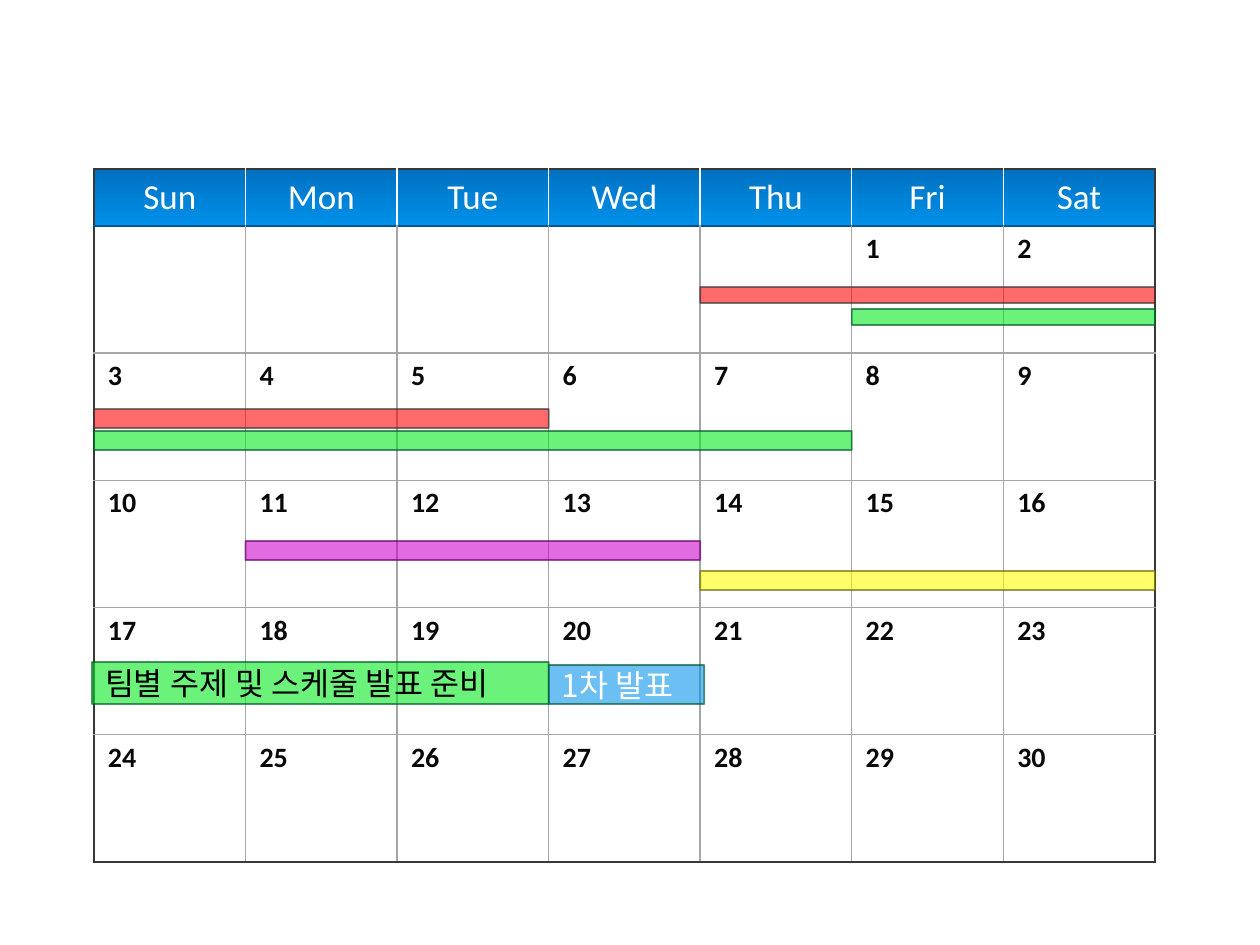
from lxml import etree
from pptx import Presentation
from pptx.dml.color import RGBColor
from pptx.enum.shapes import MSO_SHAPE
from pptx.enum.text import MSO_ANCHOR, PP_ALIGN
from pptx.oxml.ns import qn
from pptx.util import Emu, Pt

PX_PER_INCH = 126
BAR_SHAPE = MSO_SHAPE.PENTAGON
MIDDLE, TOP = MSO_ANCHOR.MIDDLE, MSO_ANCHOR.TOP
LEFT, CENTER = PP_ALIGN.LEFT, PP_ALIGN.CENTER

LATIN_FONT, KOREAN_FONT = "Calibri", "Noto Sans CJK JP"
WHITE, BLACK, INK = "FFFFFF", "000000", "080808"
FRAME, GRID, HEADER_EDGE = "383838", "A6A6A6", "005490"
HEADER_TOP, HEADER_BOTTOM = "0070C0", "0091EA"
RED, GREEN, YELLOW, PURPLE, BLUE = "FF0000", "00EA1C", "FFFF00", "CC00CC", "0091EA"
GREEN_EDGE, YELLOW_EDGE, PURPLE_EDGE = "005828", "666600", "660066"

WEEKDAYS = ["Sun", "Mon", "Tue", "Wed", "Thu", "Fri", "Sat"]
COLUMNS, WEEKS = len(WEEKDAYS), 5
FIRST_WEEKDAY, LAST_DATE = 5, 30
BLANK_HEIGHT, HEADER_HEIGHT = 106, 57
CALENDAR_BOX = (94, 63, 1061, 799)

# first column, end column, top, height, fill, edge
PLAIN_BARS = [
    (4, 7, 508, 19, YELLOW, YELLOW_EDGE),
    (5, 7, 246, 16, GREEN, GREEN_EDGE),
    (4, 7, 224, 16, RED, FRAME),
    (0, 5, 368, 19, GREEN, GREEN_EDGE),
    (0, 3, 346, 19, RED, FRAME),
    (1, 4, 478, 19, PURPLE, PURPLE_EDGE),
]


def px(length):
    return Emu(round(length * 914400 / PX_PER_INCH))


def color(hex_string):
    return RGBColor.from_string(hex_string)


def add_run(paragraph, text, size, hex_string, font, bold=False):
    run = paragraph.add_run()
    run.text = text
    run.font.size = Pt(size)
    run.font.bold = bold
    run.font.name = font
    run.font.color.rgb = color(hex_string)
    etree.SubElement(run._r.get_or_add_rPr(), qn("a:ea"), typeface=font)


def set_alpha(fill_parent, percent):
    srgb = fill_parent.find(qn("a:solidFill")).find(qn("a:srgbClr"))
    etree.SubElement(srgb, qn("a:alpha"), val=str(percent * 1000))


def set_borders(cell, left, right, top, bottom):
    properties = cell._tc.get_or_add_tcPr()
    for side, hex_string in zip("LRTB", (left, right, top, bottom)):
        edge = etree.SubElement(properties, qn(f"a:ln{side}"), w=str(Pt(0.96)))
        solid = etree.SubElement(edge, qn("a:solidFill"))
        etree.SubElement(solid, qn("a:srgbClr"), val=hex_string)


def vertical_edge(row, edge):
    if row == 0:
        return WHITE
    if edge in (0, COLUMNS):
        return FRAME
    return WHITE if row == 1 else GRID


def fill_cell(cell, text, size, hex_string, bold, align, anchor):
    cell.margin_left = cell.margin_right = px(14)
    cell.margin_top = cell.margin_bottom = px(6)
    cell.vertical_anchor = anchor
    paragraph = cell.text_frame.paragraphs[0]
    paragraph.alignment = align
    if text:
        add_run(paragraph, text, size, hex_string, LATIN_FONT, bold)


def add_month_table(slide, box):
    left, top, width, height = box
    table = slide.shapes.add_table(
        WEEKS + 2, COLUMNS, px(left), px(top), px(width), px(height)).table
    table.first_row = table.horz_banding = False
    week_height = (height - BLANK_HEIGHT - HEADER_HEIGHT) / WEEKS
    for row, row_height in zip(
            table.rows, [BLANK_HEIGHT, HEADER_HEIGHT] + [week_height] * WEEKS):
        row.height = px(row_height)
    for column in table.columns:
        column.width = px(width / COLUMNS)

    horizontal_edges = [WHITE, FRAME, HEADER_EDGE] + [GRID] * (WEEKS - 1) + [FRAME]
    for r in range(WEEKS + 2):
        for c in range(COLUMNS):
            cell = table.cell(r, c)
            set_borders(cell, vertical_edge(r, c), vertical_edge(r, c + 1),
                        horizontal_edges[r], horizontal_edges[r + 1])
            if r == 1:
                cell.fill.gradient()
                cell.fill.gradient_angle = 270
                for stop, shade in zip(cell.fill.gradient_stops,
                                       (HEADER_TOP, HEADER_BOTTOM)):
                    stop.color.rgb = color(shade)
                fill_cell(cell, WEEKDAYS[c], 20, WHITE, False, CENTER, MIDDLE)
                continue
            cell.fill.background()
            if r > 1:
                date = (r - 2) * COLUMNS + c - FIRST_WEEKDAY + 1
                text = str(date) if 1 <= date <= LAST_DATE else ""
                fill_cell(cell, text, 16, INK, True, LEFT, TOP)
    table.cell(0, 0).merge(table.cell(0, COLUMNS - 1))


def add_bar(slide, box, first, end, top, height, fill, edge, before=0, after=0):
    """Span whole day columns, reaching `before` and `after` px beyond them."""
    box_left, box_top, box_width, _ = box
    day = box_width / COLUMNS
    bar = slide.shapes.add_shape(
        BAR_SHAPE, px(box_left + first * day - before), px(box_top + top),
        px((end - first) * day + before + after), px(height))
    bar.adjustments[0] = 0
    bar.shadow.inherit = False
    bar.fill.solid()
    bar.fill.fore_color.rgb = color(fill)
    set_alpha(bar._element.spPr, 58)
    bar.line.color.rgb = color(edge)
    bar.line.width = Pt(1)
    set_alpha(bar.line._ln, 65)
    return bar


def label_bar(bar, text, hex_string):
    frame = bar.text_frame
    frame.word_wrap = True
    frame.vertical_anchor = MIDDLE
    frame.margin_left = frame.margin_right = px(13)
    frame.margin_top = frame.margin_bottom = px(6)
    paragraph = frame.paragraphs[0]
    paragraph.alignment = LEFT
    add_run(paragraph, text, 18, hex_string, KOREAN_FONT)


def add_schedule(slide, box):
    for bar in PLAIN_BARS:
        add_bar(slide, box, *bar)
    preparation = add_bar(slide, box, 0, 3, 599, 42, GREEN, GREEN_EDGE, before=2)
    label_bar(preparation, "팀별 주제 및 스케줄 발표 준비", BLACK)
    presentation = add_bar(slide, box, 3, 4, 602, 39, BLUE, GREEN_EDGE, after=4)
    label_bar(presentation, "1차 발표", WHITE)


def main():
    deck = Presentation()
    deck.slide_width, deck.slide_height = px(1260), px(945)
    slide = deck.slides.add_slide(deck.slide_layouts[6])
    add_month_table(slide, CALENDAR_BOX)
    add_schedule(slide, CALENDAR_BOX)
    deck.save("out.pptx")


if __name__ == "__main__":
    main()
